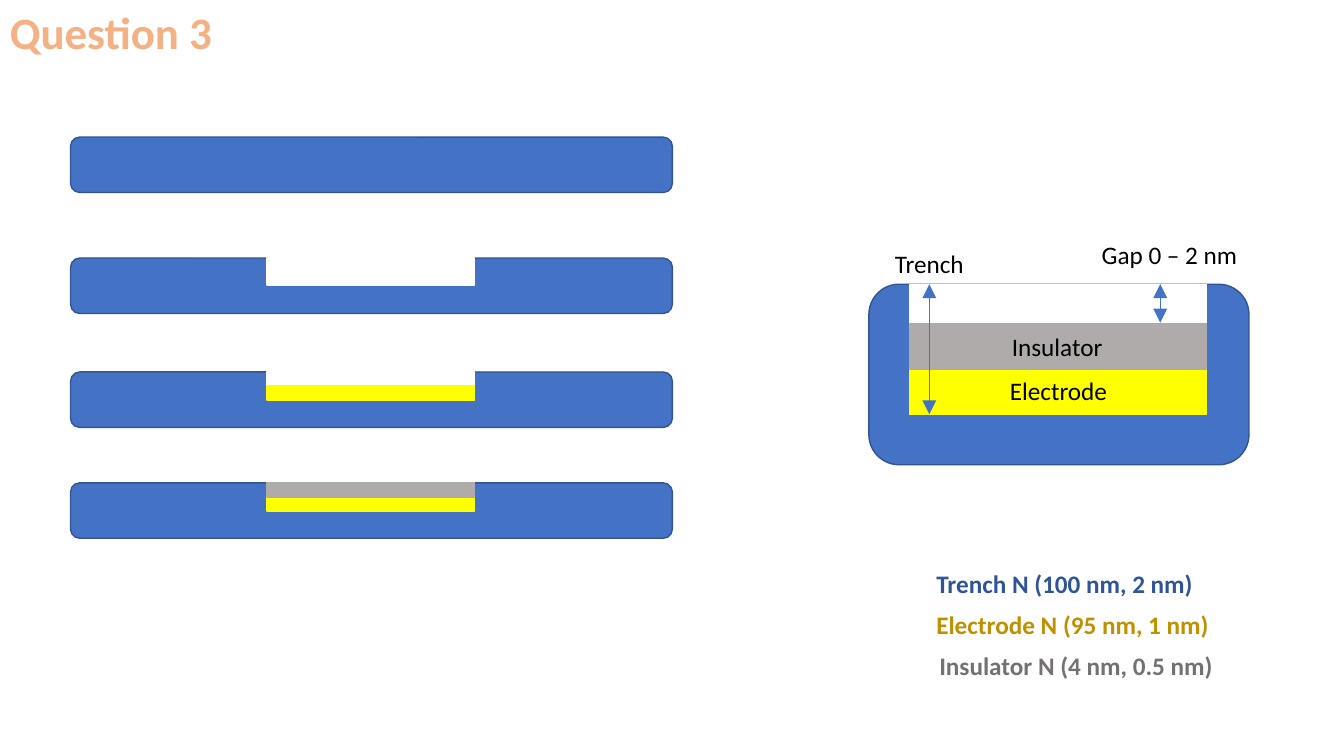
from lxml import etree
from pptx import Presentation
from pptx import util as u
from pptx.dml.color import RGBColor
from pptx.enum import shapes, text
from pptx.oxml.ns import qn

SLIDE_WIDTH = u.Inches(13.33)
SLIDE_HEIGHT = u.Inches(7.5)
COLUMNS, ROWS = 100, 75

SUBSTRATE = RGBColor(0x44, 0x72, 0xC4)
SUBSTRATE_EDGE = RGBColor(0x32, 0x54, 0x91)
EMPTY = RGBColor(0xFF, 0xFF, 0xFF)
ELECTRODE = RGBColor(0xFF, 0xFF, 0x00)
INSULATOR = RGBColor(0xAF, 0xAB, 0xAB)
HEADING = RGBColor(0xF4, 0xB1, 0x83)
LABEL = RGBColor(0x00, 0x00, 0x00)
TRENCH_TEXT = RGBColor(0x2F, 0x55, 0x97)
ELECTRODE_TEXT = RGBColor(0xBF, 0x90, 0x00)
INSULATOR_TEXT = RGBColor(0x76, 0x71, 0x71)

LABEL_ROWS = 4
WAFER_LEFT, WAFER_COLUMNS, WAFER_ROWS = 5.25, 44.78, 5.5
TRENCH_LEFT, TRENCH_COLUMNS, TRENCH_ROWS = 19.88, 15.45, 2.7
FILM_ROWS = 1.4
SECTION_LEFT, SECTION_TOP = 64.65, 28.2
CAVITY_LEFT, CAVITY_COLUMNS = 67.65, 22.13
LAYER_ROWS = 4.5


def col(count):
    return round(SLIDE_WIDTH * count / COLUMNS)


def row(count):
    return round(SLIDE_HEIGHT * count / ROWS)


def add_block(slide, left, top, width, height, fill, edge=None,
              outline=shapes.MSO_SHAPE.RECTANGLE):
    block = slide.shapes.add_shape(
        outline, col(left), row(top), col(width), row(height))
    block.shadow.inherit = False
    block.fill.solid()
    block.fill.fore_color.rgb = fill
    block.line.color.rgb = edge or fill
    block.line.width = u.Pt(1)


def add_substrate(slide, left, top, width, height):
    add_block(slide, left, top, width, height, SUBSTRATE, SUBSTRATE_EDGE,
              shapes.MSO_SHAPE.ROUNDED_RECTANGLE)


def add_step(slide, top, fills):
    add_substrate(slide, WAFER_LEFT, top, WAFER_COLUMNS, WAFER_ROWS)
    for offset, height, fill in fills:
        add_block(slide, TRENCH_LEFT, top + offset, TRENCH_COLUMNS, height, fill)


def add_label(slide, wording, left, top, width, color=LABEL, bold=False,
              size=18, height=LABEL_ROWS):
    label = slide.shapes.add_textbox(col(left), row(top), col(width), row(height))
    frame = label.text_frame
    frame.word_wrap = False
    frame.auto_size = text.MSO_AUTO_SIZE.SHAPE_TO_FIT_TEXT
    paragraph = frame.paragraphs[0]
    paragraph.text = wording
    paragraph.font.name = "Calibri"
    paragraph.font.size = u.Pt(size)
    paragraph.font.bold = bold
    paragraph.font.color.rgb = color


def add_depth_arrow(slide, left, top, bottom):
    arrow = slide.shapes.add_connector(
        shapes.MSO_CONNECTOR.STRAIGHT, col(left), row(top), col(left), row(bottom))
    arrow.line.color.rgb = SUBSTRATE
    arrow.line.width = u.Pt(0.5)
    line = arrow.line._get_or_add_ln()
    for end in ("a:headEnd", "a:tailEnd"):
        etree.SubElement(line, qn(end), type="triangle", w="lg", len="lg")
    etree.SubElement(arrow._element.spPr, qn("a:effectLst"))


def add_process(slide):
    trench = (0, TRENCH_ROWS, EMPTY)
    electrode = (FILM_ROWS, FILM_ROWS, ELECTRODE)
    insulator = (0, FILM_ROWS, INSULATOR)
    add_step(slide, 13.6, [])
    add_step(slide, 25.6, [trench])
    add_step(slide, 36.9, [trench, electrode])
    add_step(slide, 47.9, [trench, electrode, insulator])


def add_section(slide):
    add_substrate(slide, SECTION_LEFT, SECTION_TOP, 28.28, 17.9)
    for top, height, fill in ((SECTION_TOP, 12.6, EMPTY),
                              (36.6, LAYER_ROWS, ELECTRODE),
                              (32.1, LAYER_ROWS, INSULATOR)):
        add_block(slide, CAVITY_LEFT, top, CAVITY_COLUMNS, height, fill)
    add_label(slide, "Electrode", 74.4, 36.7, 8.85)
    add_label(slide, "Insulator", 74.55, 32.4, 8.33)
    add_label(slide, "Trench", 65.85, 24.1, 6.68)
    add_depth_arrow(slide, 69.15, SECTION_TOP, 41.1)
    add_depth_arrow(slide, 86.33, SECTION_TOP, 32)
    add_label(slide, "Gap 0 – 2 nm", 81.23, 23.3, 11.7)


def add_distributions(slide):
    distributions = (
        ("Trench N (100 nm, 2 nm)", 68.93, 20.78, TRENCH_TEXT),
        ("Electrode N (95 nm, 1 nm)", 68.93, 21.98, ELECTRODE_TEXT),
        ("Insulator N (4 nm, 0.5 nm)", 69.15, 22.05, INSULATOR_TEXT),
    )
    for index, (wording, left, width, color) in enumerate(distributions):
        add_label(slide, wording, left, 55.9 + 4.05 * index, width, color, bold=True)


def main():
    deck = Presentation()
    deck.slide_width = SLIDE_WIDTH
    deck.slide_height = SLIDE_HEIGHT
    slide = deck.slides.add_slide(deck.slide_layouts[6])
    add_process(slide)
    add_section(slide)
    add_distributions(slide)
    add_label(slide, "Question 3", 0, 0, 16.73, HEADING, True, 32, 6.4)
    deck.save("out.pptx")


if __name__ == "__main__":
    main()
